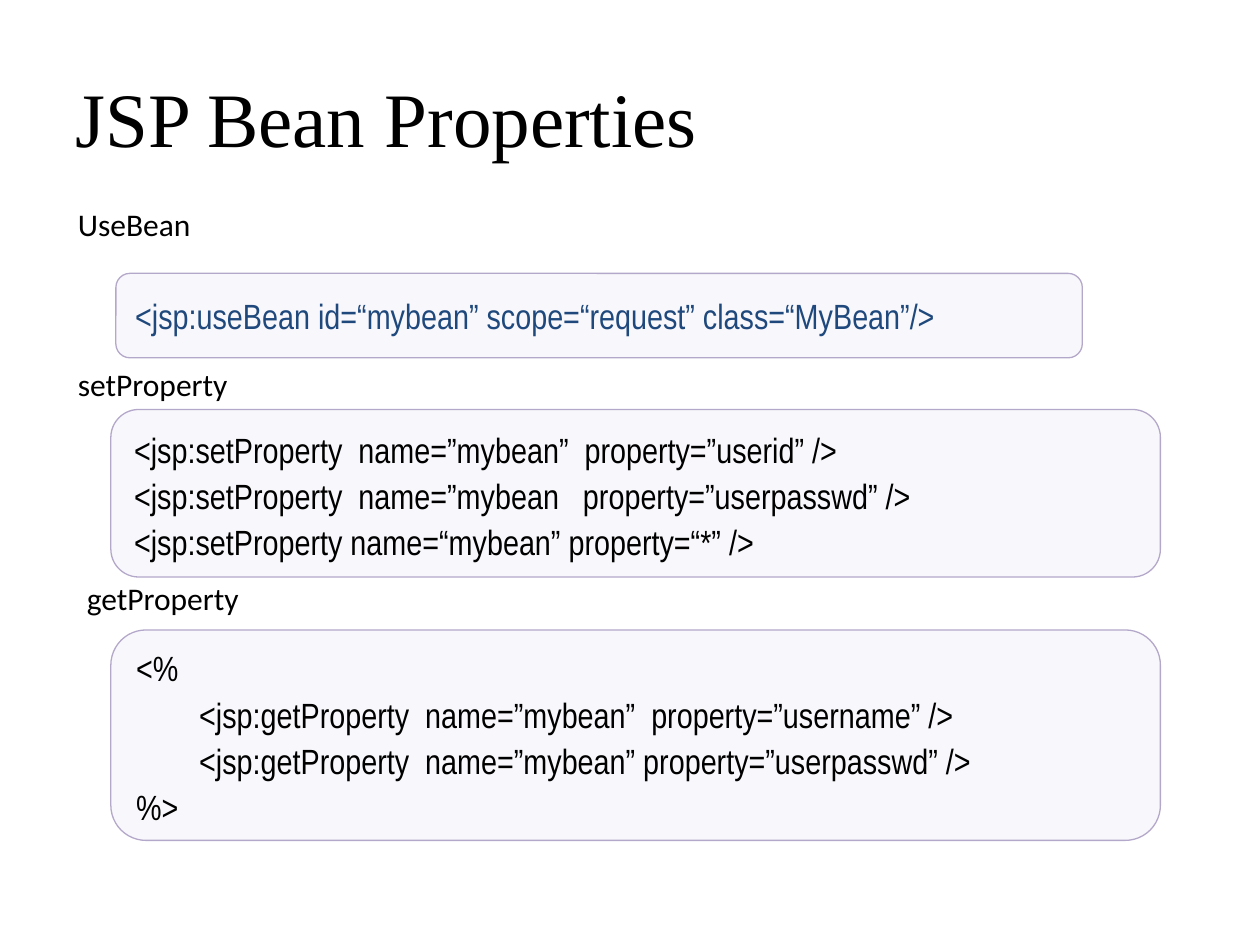
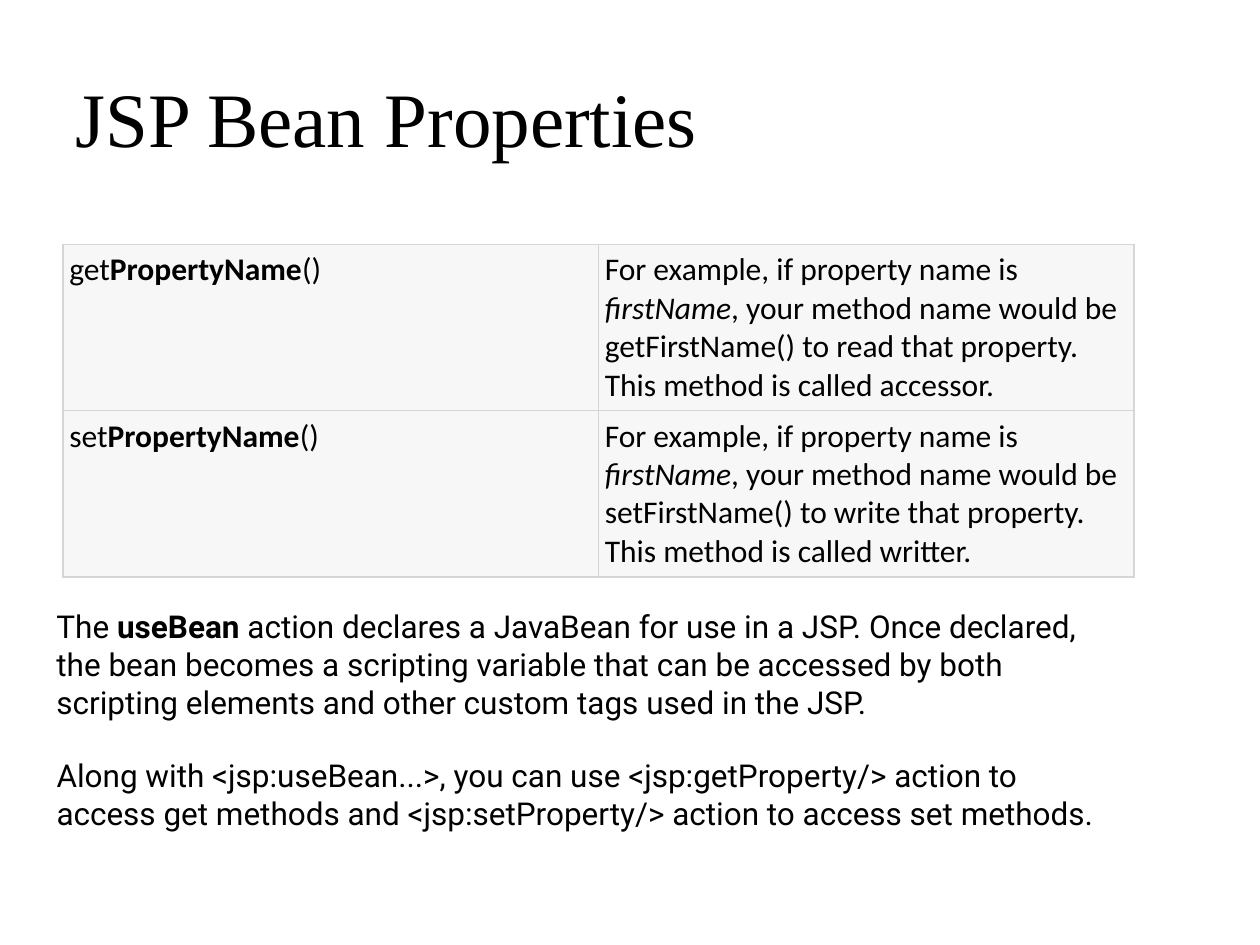
"""Builds two slides on JSP bean properties."""
from dataclasses import dataclass
from typing import NamedTuple

from lxml import etree
from pptx import Presentation
from pptx.dml.color import RGBColor
from pptx.enum.shapes import MSO_SHAPE
from pptx.enum.text import MSO_ANCHOR, MSO_AUTO_SIZE, PP_ALIGN
from pptx.oxml.ns import qn
from pptx.util import Inches, Pt

CODE_BOX = MSO_SHAPE.FLOWCHART_ALTERNATE_PROCESS
MIDDLE = MSO_ANCHOR.MIDDLE
LEFT = PP_ALIGN.LEFT
GROW = MSO_AUTO_SIZE.SHAPE_TO_FIT_TEXT

BLACK = RGBColor(0x00, 0x00, 0x00)
NAVY = RGBColor(0x1F, 0x49, 0x7D)
LILAC = RGBColor(0xF8, 0xF7, 0xFB)
LILAC_LINE = RGBColor(0xB4, 0xA8, 0xCA)
CELL_GREY = RGBColor(0xF7, 0xF7, 0xF7)
GRID_GREY = RGBColor(0xD6, 0xD6, 0xD6)

WIDTH, HEIGHT = Inches(10), Inches(7.5)
COLUMNS, ROWS = 100, 75
CELL_INSET = Inches(0.05)
LINE_WIDTH = Pt(0.75)


class Style(NamedTuple):
    font: str
    size: int
    color: RGBColor = BLACK
    spacing: float | None = None


class Span(NamedTuple):
    text: str
    bold: bool | None = None
    italic: bool | None = None


class Line(NamedTuple):
    spans: list[Span]
    level: int = 0


@dataclass(frozen=True)
class Area:
    """A rectangle in columns and rows of the slide grid."""
    col: float
    row: float
    cols: float
    rows: float

    def box(self) -> tuple[int, int, int, int]:
        """Return left, top, width and height."""
        return (across(self.col), down(self.row),
                across(self.cols), down(self.rows))


@dataclass(frozen=True)
class Text:
    """A text box that grows with its words."""
    area: Area
    spans: list[Span]
    style: Style
    wrap: bool = True


@dataclass(frozen=True)
class Code:
    """A rounded box of code lines."""
    area: Area
    lines: list[Line]
    style: Style


TITLE = Style("Times New Roman", 44)
LABEL = Style("Calibri", 18)
BODY = Style("Roboto", 18)
CODE = Style("Arial Narrow", 20, spacing=1.1)
CODE_NAVY = Style("Arial Narrow", 20, NAVY)

TITLE_AREA = Area(5, 3, 90, 12.5)
TABLE_AREA = Area(5, 19.4, 85, 26.4)

LABELS = [
    Text(Area(5.2, 15.8, 11, 4), [Span("UseBean")], LABEL, False),
    Text(Area(5.2, 28.5, 14, 4), [Span("setProperty")], LABEL, False),
    Text(Area(5.9, 45.5, 14.2, 4), [Span("getProperty")], LABEL, False),
]

CODES = [
    Code(Area(9.2, 21.7, 76.7, 6.7), [
        Line([Span("<jsp:useBean id=“mybean” scope=“request” class=“MyBean”/>")]),
    ], CODE_NAVY),
    Code(Area(8.8, 32.5, 83.3, 13.3), [
        Line([Span("<jsp:setProperty  name=”mybean”  property=”userid” />")]),
        Line([Span("<jsp:setProperty  name=”mybean   property=”userpasswd” />")]),
        Line([Span("<jsp:setProperty name=“mybean” property=“*” />")]),
    ], CODE),
    Code(Area(8.8, 50, 83.3, 16.7), [
        Line([Span("<%")]),
        Line([Span("<jsp:getProperty  name=”mybean”  property=”username” />")], 1),
        Line([Span("<jsp:getProperty  name=”mybean” property=”userpasswd” />")], 1),
        Line([Span("%>")]),
    ], CODE),
]

METHODS = [("get", "read", "accessor"), ("set", "write", "writter")]

NOTES = [
    Text(Area(3.5, 47.7, 86.6, 10.1), [
        Span("The "), Span("useBean", bold=True),
        Span(" action declares a JavaBean for use in a JSP. Once declared, "
             "the bean becomes a scripting variable that can be accessed by "
             "both scripting elements and other custom tags used in the JSP."),
    ], BODY),
    Text(Area(3.5, 59.5, 85.2, 7.1), [
        Span("Along with <jsp:useBean...>, you can use <jsp:getProperty/> "
             "action to access get methods and <jsp:setProperty/> action to "
             "access set methods."),
    ], BODY),
]


def across(cols: float) -> int:
    """Turn grid columns into a length."""
    return round(WIDTH * cols / COLUMNS)


def down(rows: float) -> int:
    """Turn grid rows into a length."""
    return round(HEIGHT * rows / ROWS)


def write(tf, lines: list[Line], style: Style) -> None:
    """Fill a text frame with styled lines."""
    for i, line in enumerate(lines):
        p = tf.add_paragraph() if i else tf.paragraphs[0]
        p.alignment = LEFT
        if line.level:
            p.level = line.level
            pPr = p._p.get_or_add_pPr()
            pPr.set("marL", str(Inches(0.5) * line.level))
            pPr.set("indent", "0")
        if style.spacing:
            p.line_spacing = style.spacing
        p.font.name = style.font
        p.font.size = Pt(style.size)
        p.font.color.rgb = style.color
        for span in line.spans:
            r = p.add_run()
            r.text = span.text
            if span.bold:
                r.font.bold = True
            if span.italic:
                r.font.italic = True


def add_text(slide, text: Text) -> None:
    """Draw a text box."""
    tf = slide.shapes.add_textbox(*text.area.box()).text_frame
    tf.word_wrap = text.wrap
    tf.auto_size = GROW
    write(tf, [Line(text.spans)], text.style)


def add_title(slide, title: str) -> None:
    """Draw the slide title."""
    tf = slide.shapes.add_textbox(*TITLE_AREA.box()).text_frame
    tf.word_wrap = True
    tf.vertical_anchor = MIDDLE
    write(tf, [Line([Span(title)])], TITLE)


def add_code(slide, code: Code) -> None:
    """Draw a code box."""
    sp = slide.shapes.add_shape(CODE_BOX, *code.area.box())
    sp.shadow.inherit = False
    sp.fill.solid()
    sp.fill.fore_color.rgb = LILAC
    sp.line.color.rgb = LILAC_LINE
    sp.line.width = LINE_WIDTH
    tf = sp.text_frame
    tf.word_wrap = False
    tf.vertical_anchor = MIDDLE
    tf.margin_left = Inches(0.12)
    write(tf, code.lines, code.style)


def style_cell(cell) -> None:
    """Set the borders, fill and insets of a table cell."""
    tcPr = cell._tc.get_or_add_tcPr()
    for side in ("lnL", "lnR", "lnT", "lnB"):
        ln = etree.SubElement(tcPr, qn(f"a:{side}"), w=str(LINE_WIDTH))
        fill = etree.SubElement(ln, qn("a:solidFill"))
        etree.SubElement(fill, qn("a:srgbClr"), val=str(GRID_GREY))
    cell.fill.solid()
    cell.fill.fore_color.rgb = CELL_GREY
    cell.margin_left = cell.margin_right = CELL_INSET
    cell.margin_top = cell.margin_bottom = CELL_INSET


def add_methods(slide) -> None:
    """Draw the table of accessor methods."""
    table = slide.shapes.add_table(len(METHODS), 2, *TABLE_AREA.box()).table
    table.first_row = table.horz_banding = False
    for row, (prefix, verb, kind) in enumerate(METHODS):
        name = [Span(prefix), Span("PropertyName", bold=True), Span("()")]
        example = [
            Span("For example, if property name is "),
            Span("firstName", italic=True),
            Span(f", your method name would be {prefix}FirstName() to {verb} "
                 f"that property. This method is called {kind}."),
        ]
        for col, spans in enumerate((name, example)):
            cell = table.cell(row, col)
            style_cell(cell)
            write(cell.text_frame, [Line(spans)], LABEL)


def main() -> None:
    """Build and save the slides."""
    prs = Presentation()
    prs.slide_width, prs.slide_height = WIDTH, HEIGHT
    tags, methods = (prs.slides.add_slide(prs.slide_layouts[6]) for _ in range(2))
    for slide in (tags, methods):
        add_title(slide, "JSP Bean Properties")
    for code in CODES:
        add_code(tags, code)
    for label in LABELS:
        add_text(tags, label)
    add_methods(methods)
    for note in NOTES:
        add_text(methods, note)
    prs.save("out.pptx")


if __name__ == "__main__":
    main()
